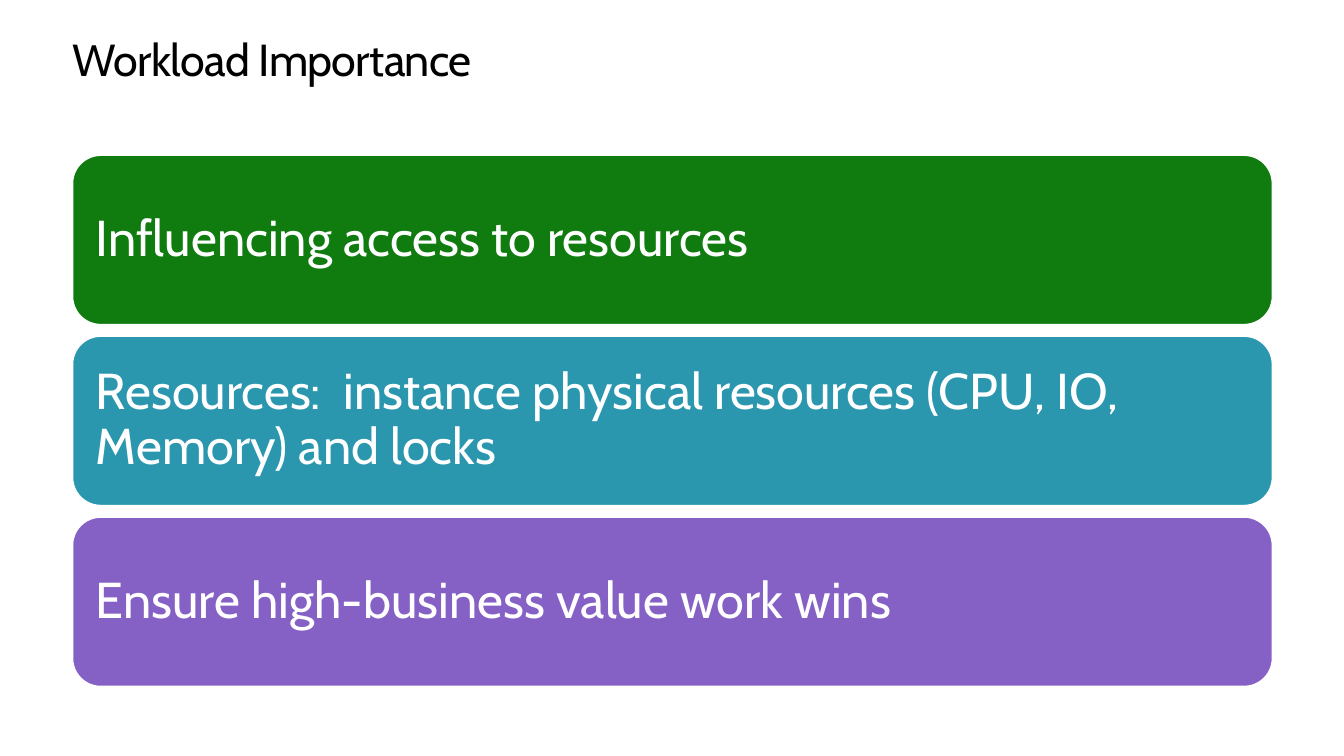
import pptx
from dataclasses import dataclass
from pptx.dml.color import RGBColor
from pptx.enum.shapes import MSO_SHAPE
from pptx.enum.text import MSO_ANCHOR, MSO_AUTO_SIZE, PP_ALIGN
from pptx.util import Inches, Pt


@dataclass(frozen=True)
class Theme:
    font: str = "Cabin"
    title_size: float = 32
    body_size: float = 36
    black: str = "000000"
    white: str = "FFFFFF"
    green: str = "107C10"
    teal: str = "2A97AF"
    purple: str = "8661C5"


theme = Theme()


def write(shape, text, size, color, anchor, inset, spacing):
    tf = shape.text_frame
    tf.text = text
    tf.word_wrap = True
    tf.auto_size = MSO_AUTO_SIZE.NONE
    tf.vertical_anchor = anchor
    tf.margin_left = tf.margin_top = tf.margin_right = tf.margin_bottom = Inches(inset)
    p = tf.paragraphs[0]
    p.alignment = PP_ALIGN.LEFT
    p.line_spacing = spacing
    r = p.runs[0]
    r.font.name = theme.font
    r.font.size = Pt(size)
    r.font.color.rgb = RGBColor.from_string(color)
    return r


prs = pptx.Presentation()
prs.slide_width, prs.slide_height = Inches(13.33), Inches(7.5)
s = prs.slides.add_slide(prs.slide_layouts[5])

left, width = Inches(0.72), Inches(11.9)

title = s.shapes.title
title.left, title.top, title.width, title.height = left, Inches(0.35), width, Inches(0.5)
title.fill.solid()
title.fill.fore_color.rgb = RGBColor.from_string(theme.white)
r = write(title, "Workload Importance", theme.title_size, theme.black,
          MSO_ANCHOR.TOP, 0, Pt(36.2))
r._r.get_or_add_rPr().set("spc", "-50")

bars = [
    ("Influencing access to resources", theme.green),
    ("Resources:  instance physical resources (CPU, IO, Memory) and locks", theme.teal),
    ("Ensure high-business value work wins", theme.purple),
]
bar_top, bar_height, bar_pitch = 1.54, 1.68, 1.795

for i, (text, color) in enumerate(bars):
    bar = s.shapes.add_shape(MSO_SHAPE.ROUNDED_RECTANGLE, left,
                             Inches(bar_top + i * bar_pitch), width, Inches(bar_height))
    bar.shadow.inherit = False
    bar.fill.solid()
    bar.fill.fore_color.rgb = RGBColor.from_string(color)
    bar.line.color.rgb = RGBColor.from_string(theme.white)
    bar.line.width = Pt(1)
    write(bar, text, theme.body_size, theme.white, MSO_ANCHOR.MIDDLE, 0.15, 0.9)

prs.save("out.pptx")
